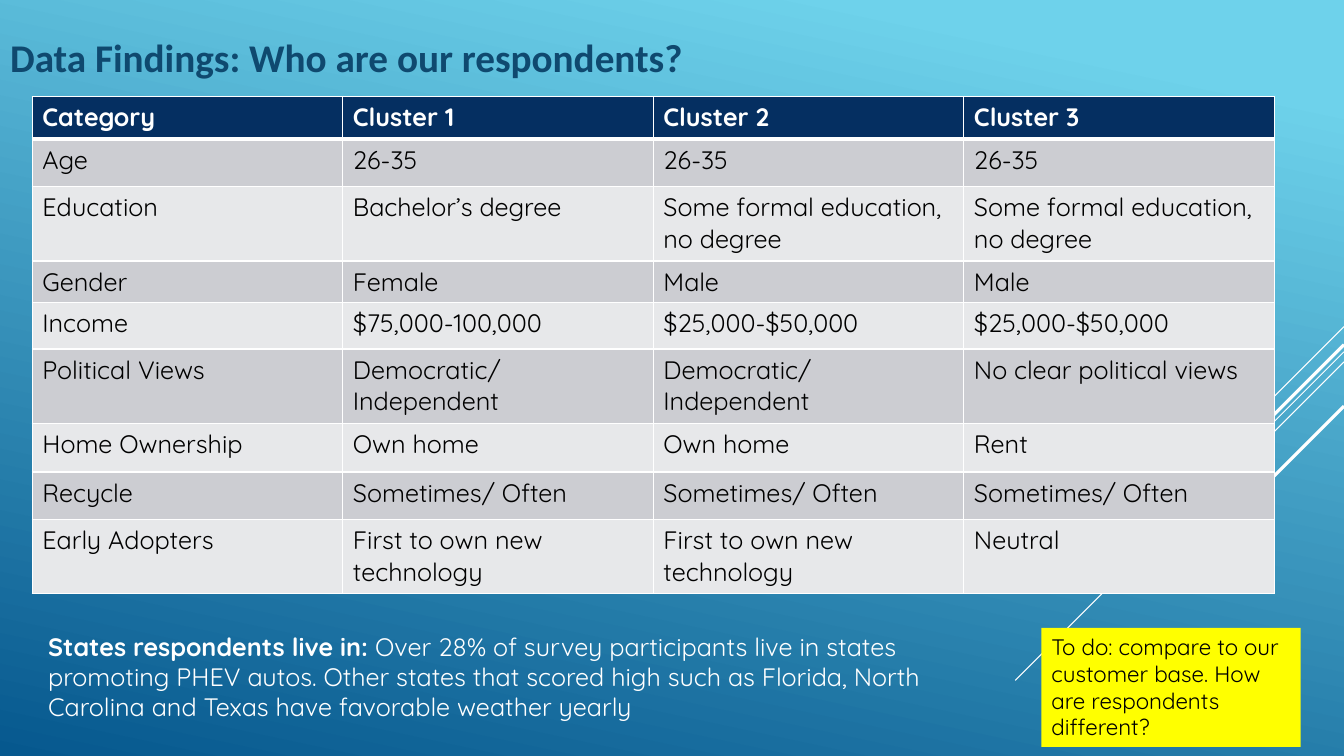
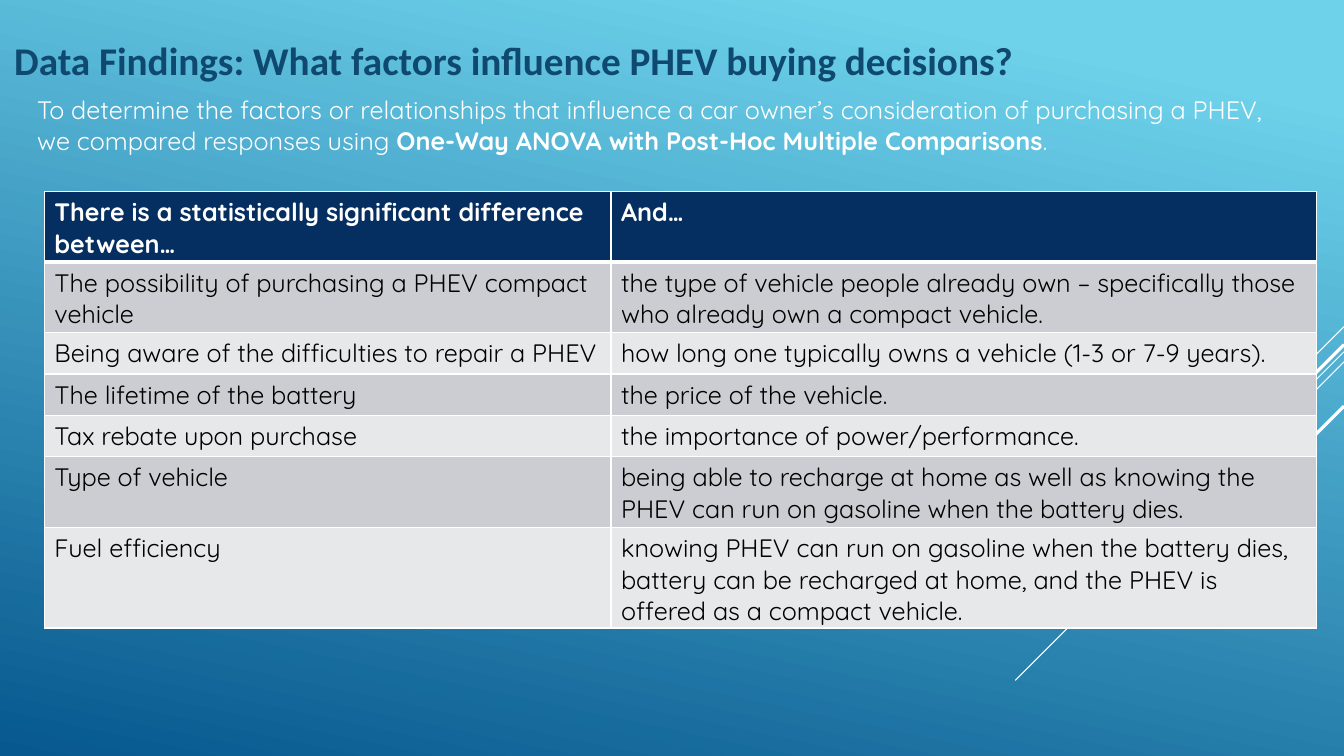
from lxml import etree
from pptx import Presentation
from pptx import util as u
from pptx.dml.color import RGBColor
from pptx.enum import shapes, text
from pptx.oxml.ns import qn

PX = 9144
COLORS = {
    "sky": "6ED2EB",
    "deep": "06588E",
    "title": "0F496F",
    "header": "052F61",
    "band_dark": "CCCDD2",
    "band_light": "E7E8EA",
    "white": "FFFFFF",
    "black": "000000",
    "note": "FFFF00",
}
TITLE_FONT = "Calibri"
BODY_FONT = "Quicksand"
DIAGONALS = [
    (324, 100, 0.75),
    (349, 326, 0.75),
    (359, 207, 0.75),
    (342, 191, 2.25),
    (403, 139, 2.25),
]
WIDTH, HEIGHT = 1333, 750
TITLE_ONLY = 5


def px(*lengths):
    return [u.Emu(length * PX) for length in lengths]


def rgb(name):
    return RGBColor.from_string(COLORS[name])


class Deck:
    def __init__(self):
        self.presentation = Presentation()
        self.presentation.slide_width, self.presentation.slide_height = px(WIDTH, HEIGHT)
        self.slide = None
        fill = self.presentation.slide_master.background.fill
        fill.gradient()
        fill.gradient_angle = 258
        for stop, position, color in zip(fill.gradient_stops, (0.1, 1), ("sky", "deep")):
            stop.position = position
            stop.color.rgb = rgb(color)

    def new_slide(self, title, left, top):
        layout = self.presentation.slide_layouts[TITLE_ONLY]
        self.slide = self.presentation.slides.add_slide(layout)
        self.title(title, left, top)
        for start, reach, weight in DIAGONALS:
            self.line(WIDTH, start, WIDTH - reach, start + reach, weight)

    def title(self, words, left, top):
        shape = self.slide.shapes.title
        shape.left, shape.top, shape.width, shape.height = px(left, top, 1279, 112)
        frame = shape.text_frame
        frame.auto_size = text.MSO_AUTO_SIZE.NONE
        frame.vertical_anchor = text.MSO_ANCHOR.MIDDLE
        self.add_runs(frame, [(words, True)], 28, "title", TITLE_FONT)
        paragraph = frame.paragraphs[0]
        paragraph.space_before = u.Pt(5.6)
        paragraph.space_after = u.Pt(6)

    def add_runs(self, frame, runs, size, color, font=BODY_FONT):
        frame.word_wrap = True
        paragraph = frame.paragraphs[0]
        paragraph.alignment = text.PP_ALIGN.LEFT
        for words, bold in runs:
            run = paragraph.add_run()
            run.text = words
            run.font.name = font
            run.font.size = u.Pt(size)
            run.font.bold = bold
            run.font.color.rgb = rgb(color)

    def line(self, x1, y1, x2, y2, weight):
        connector = self.slide.shapes.add_connector(
            shapes.MSO_CONNECTOR.STRAIGHT, *px(x1, y1, x2, y2))
        connector.line.color.rgb = rgb("white")
        connector.line.width = u.Pt(weight)
        etree.SubElement(connector._element.spPr, qn("a:effectLst"))

    def text_box(self, box, runs):
        shape = self.slide.shapes.add_textbox(*px(*box))
        self.add_runs(shape.text_frame, runs, 18, "white")

    def note(self, box, words):
        shape = self.slide.shapes.add_shape(shapes.MSO_SHAPE.RECTANGLE, *px(*box))
        shape.shadow.inherit = False
        shape.fill.solid()
        shape.fill.fore_color.rgb = rgb("note")
        shape.line.fill.background()
        shape.text_frame.vertical_anchor = text.MSO_ANCHOR.TOP
        self.add_runs(shape.text_frame, [(words, False)], 16, "black")

    def table(self, left, top, columns, heights, rows):
        table = self.slide.shapes.add_table(
            len(rows), len(columns), *px(left, top, sum(columns), sum(heights))).table
        table.horz_banding = False
        for column, width in zip(table.columns, columns):
            column.width = px(width)[0]
        for index, (row, height, values) in enumerate(zip(table.rows, heights, rows)):
            row.height = px(height)[0]
            is_header = index == 0
            fill = "header" if is_header else ("band_light", "band_dark")[index % 2]
            for cell, words in zip(row.cells, values):
                cell.fill.solid()
                cell.fill.fore_color.rgb = rgb(fill)
                self.borders(cell, 3 if index == 1 else 1, 3 if is_header else 1)
                self.add_runs(cell.text_frame, [(words, is_header)], 18,
                              "white" if is_header else "black")

    def borders(self, cell, top, bottom):
        properties = cell._tc.get_or_add_tcPr()
        sides = {"L": 1, "R": 1, "T": top, "B": bottom}
        for index, (side, weight) in enumerate(sides.items()):
            border = etree.Element(qn(f"a:ln{side}"), w=str(u.Pt(weight)))
            solid = etree.SubElement(border, qn("a:solidFill"))
            etree.SubElement(solid, qn("a:srgbClr"), val=COLORS["white"])
            properties.insert(index, border)


def respondents(deck):
    deck.new_slide("Data Findings: Who are our respondents?", 0, 0)
    deck.table(32, 96, [308] * 4, [42, 47, 74, 40, 46, 74, 48, 47, 74], [
        ("Category", "Cluster 1", "Cluster 2", "Cluster 3"),
        ("Age", "26-35", "26-35", "26-35"),
        ("Education", "Bachelor’s degree", "Some formal education, no degree",
         "Some formal education, no degree"),
        ("Gender", "Female", "Male", "Male"),
        ("Income", "$75,000-100,000", "$25,000-$50,000", "$25,000-$50,000"),
        ("Political Views", "Democratic/ Independent", "Democratic/ Independent",
         "No clear political views"),
        ("Home Ownership", "Own home", "Own home", "Rent"),
        ("Recycle", "Sometimes/ Often", "Sometimes/ Often", "Sometimes/ Often"),
        ("Early Adopters", "First to own new technology",
         "First to own new technology", "Neutral"),
    ])
    deck.text_box((38, 621, 960, 101), [
        ("States respondents live in:", True),
        (" Over 28% of survey participants live in states promoting PHEV autos. "
         "Other states that scored high such as Florida, North Carolina and Texas "
         "have favorable weather yearly", False),
    ])
    deck.note((1033, 623, 257, 118),
              "To do: compare to our customer base. How are respondents different?")


def buying_factors(deck):
    deck.new_slide("Data Findings: What factors influence PHEV buying decisions?", 4, 3)
    deck.text_box((27, 89, 1262, 71), [
        ("To determine the factors or relationships that influence a car owner’s "
         "consideration of purchasing a PHEV, we compared responses using ", False),
        ("One-Way ANOVA with Post-Hoc Multiple Comparisons", True),
        (".", False),
    ])
    deck.table(44, 190, [562, 700], [41] * 7, [
        ("There is a statistically significant difference between…", "And…"),
        ("The possibility of purchasing a PHEV compact vehicle",
         "the type of vehicle people already own – specifically those who already "
         "own a compact vehicle."),
        ("Being aware of the difficulties to repair a PHEV",
         "how long one typically owns a vehicle (1-3 or 7-9 years)."),
        ("The lifetime of the battery", "the price of the vehicle."),
        ("Tax rebate upon purchase", "the importance of power/performance."),
        ("Type of vehicle",
         "being able to recharge at home as well as knowing the PHEV can run on "
         "gasoline when the battery dies."),
        ("Fuel efficiency",
         "knowing PHEV can run on gasoline when the battery dies, battery can be "
         "recharged at home, and the PHEV is offered as a compact vehicle."),
    ])


def main():
    deck = Deck()
    respondents(deck)
    buying_factors(deck)
    deck.presentation.save("out.pptx")


if __name__ == "__main__":
    main()
